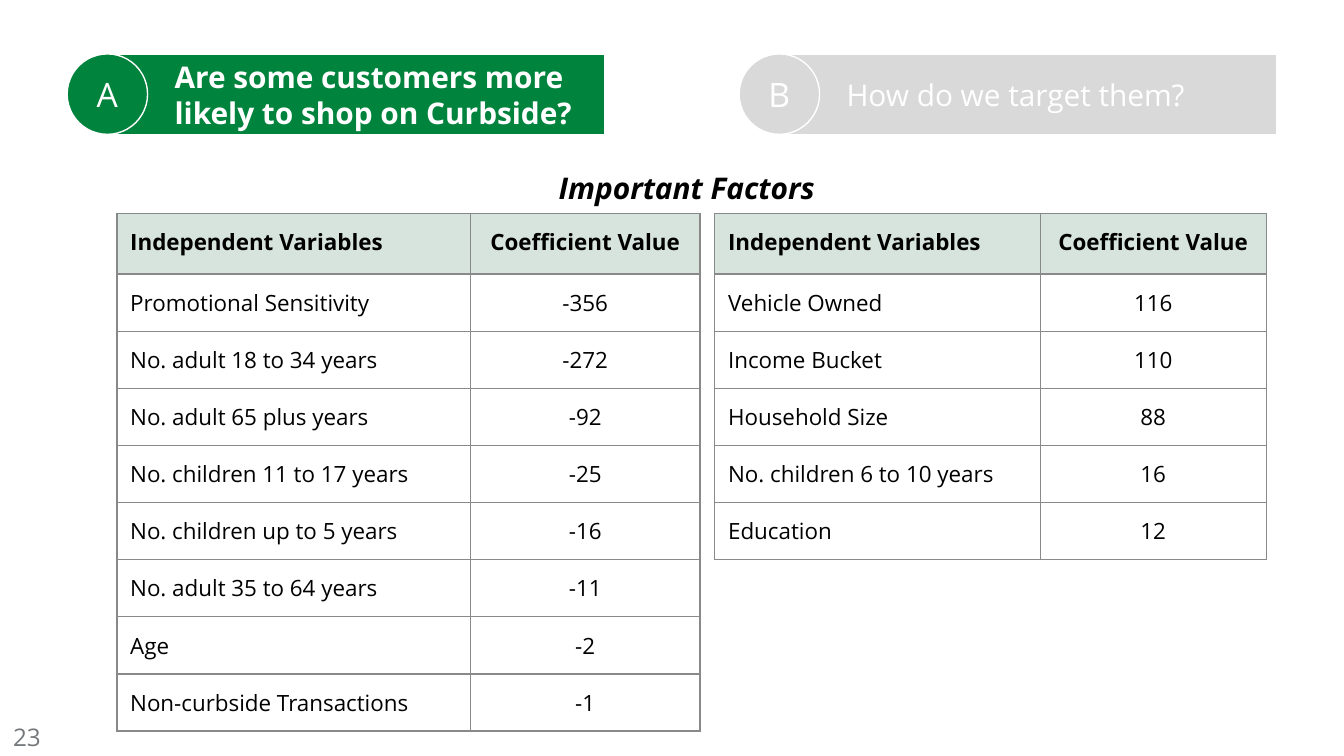
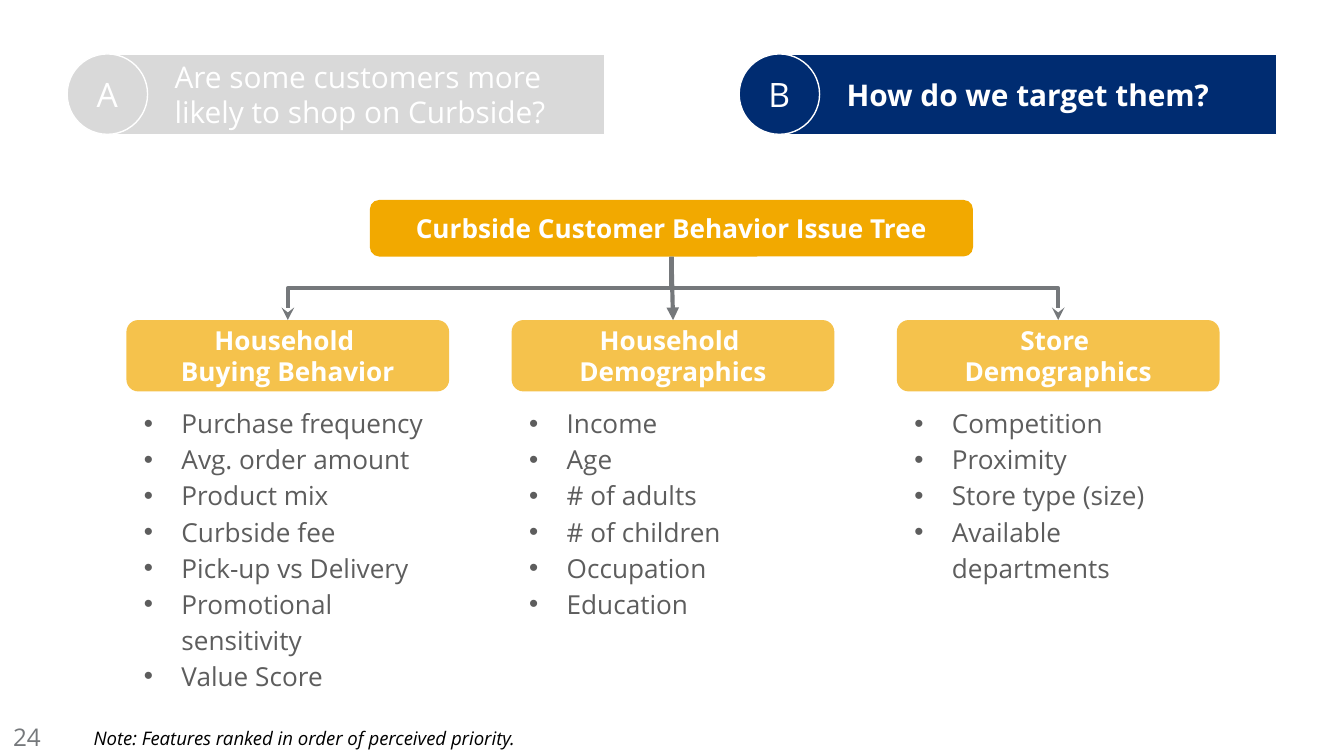
"""Build two slides on curbside customers: model coefficients and an issue tree."""
from dataclasses import dataclass

from lxml.etree import SubElement
from pptx import Presentation
from pptx.dml.color import RGBColor
from pptx.enum.shapes import MSO_CONNECTOR, MSO_SHAPE
from pptx.enum.text import MSO_ANCHOR, MSO_AUTO_SIZE, PP_ALIGN
from pptx.oxml.ns import qn
from pptx.util import Cm, Pt

FONT = "Open Sans"
WHITE, BLACK = "FFFFFF", "000000"
GREEN, NAVY, MUTED = "00833C", "002C71", "D9D9D9"
AMBER, SLATE, BODY_GRAY = "F2A900", "75787B", "5D5D5D"
HEADER_GREEN, GRID = "085631", "898989"
WIDE, NARROW = 0.25, 0.13
TAB_TOP, TAB_HEIGHT, TAB_PITCH = 1.02, 1.52, 12.7
CARD_LEFT, CARD_PITCH, CARD_WIDTH = 2.39, 7.28, 6.1
TITLE_ONLY, COMPARISON = 5, 4


@dataclass(frozen=True)
class Box:
    left: float
    top: float
    width: float
    height: float

    def lengths(self) -> tuple:
        return Cm(self.left), Cm(self.top), Cm(self.width), Cm(self.height)


@dataclass(frozen=True)
class TextStyle:
    size: float
    color: str
    bold: bool = False
    italic: bool = False
    align: PP_ALIGN = PP_ALIGN.LEFT
    anchor: MSO_ANCHOR = MSO_ANCHOR.TOP
    inset_x: float = WIDE
    inset_y: float = WIDE
    inset_left: float = WIDE


@dataclass(frozen=True)
class Tab:
    letter: str
    question: str
    color: str


@dataclass(frozen=True)
class FactorTable:
    left: float
    widths: tuple[float, float]
    factors: tuple[tuple[str, int], ...]


@dataclass(frozen=True)
class Branch:
    heading: str
    features: tuple[str, ...]


TABS = (
    Tab("A", "Are some customers more\vlikely to shop on Curbside?", GREEN),
    Tab("B", "How do we target them?", NAVY),
)

FACTOR_TABLES = (
    FactorTable(13.51, (6.15, 4.27), (
        ("Vehicle Owned", 116),
        ("Income Bucket", 110),
        ("Household Size", 88),
        ("No. children 6 to 10 years", 16),
        ("Education", 12),
    )),
    FactorTable(2.21, (6.68, 4.34), (
        ("Promotional Sensitivity", -356),
        ("No. adult 18 to 34 years", -272),
        ("No. adult 65 plus years", -92),
        ("No. children 11 to 17 years", -25),
        ("No. children up to 5 years", -16),
        ("No. adult 35 to 64 years", -11),
        ("Age", -2),
        ("Non-curbside Transactions", -1),
    )),
)

BRANCHES = (
    Branch("Household \vBuying Behavior", (
        "Purchase frequency", "Avg. order amount", "Product mix", "Curbside fee",
        "Pick-up vs Delivery", "Promotional sensitivity", "Value Score")),
    Branch("Household \vDemographics", (
        "Income", "Age", "# of adults", "# of children", "Occupation", "Education")),
    Branch("Store \vDemographics", (
        "Competition", "Proximity", "Store type (size)", "Available departments")),
)

NODE_TEXT = TextStyle(14, WHITE, bold=True, align=PP_ALIGN.CENTER,
                      anchor=MSO_ANCHOR.MIDDLE, inset_y=NARROW)
LIST_TEXT = TextStyle(14, BODY_GRAY, inset_y=NARROW)


def rgb(color: str) -> RGBColor:
    return RGBColor.from_string(color)


def paint(fill, owner, color: str, opacity: int = 100) -> None:
    """Fill an object with a solid colour at the given opacity in percent."""
    fill.solid()
    fill.fore_color.rgb = rgb(color)
    if opacity < 100:
        tint = owner.find(qn("a:solidFill")).find(qn("a:srgbClr"))
        SubElement(tint, qn("a:alpha"), val=str(opacity * 1000))


def format_text(frame, style: TextStyle) -> None:
    for paragraph in frame.paragraphs:
        paragraph.alignment = style.align
        paragraph.space_before = Pt(0)
        for run in paragraph.runs:
            run.font.name = FONT
            run.font.size = Pt(style.size)
            run.font.bold = style.bold
            run.font.italic = style.italic
            run.font.color.rgb = rgb(style.color)


def write(shape, text: str, style: TextStyle) -> None:
    """Put styled text into a shape or placeholder."""
    frame = shape.text_frame
    frame.text = text
    frame.word_wrap = True
    frame.auto_size = MSO_AUTO_SIZE.NONE
    frame.vertical_anchor = style.anchor
    frame.margin_left, frame.margin_right = Cm(style.inset_left), Cm(style.inset_x)
    frame.margin_top = frame.margin_bottom = Cm(style.inset_y)
    format_text(frame, style)


def place(placeholder, box: Box) -> None:
    placeholder.left, placeholder.top, placeholder.width, placeholder.height = box.lengths()


def add_label(slide, box: Box, text: str, style: TextStyle) -> None:
    write(slide.shapes.add_textbox(*box.lengths()), text, style)


def add_filled(slide, preset: MSO_SHAPE, box: Box, color: str, opacity: int = 100):
    shape = slide.shapes.add_shape(preset, *box.lengths())
    shape.shadow.inherit = False
    paint(shape.fill, shape.element.spPr, color, opacity)
    shape.line.fill.background()
    return shape


def outline_white(shape) -> None:
    shape.line.color.rgb = rgb(WHITE)
    shape.line.width = Pt(0.75)


def add_tabs(slide, active: Tab) -> None:
    """Draw both question tabs, with the active question as the slide title."""
    for index, tab in enumerate(TABS):
        is_active = tab == active
        color = tab.color if is_active else MUTED
        left = 1.27 + index * TAB_PITCH
        bar_box = Box(left + 0.76, TAB_TOP, 9.4, TAB_HEIGHT)
        if is_active:
            bar = slide.shapes.title
            place(bar, bar_box)
            paint(bar.fill, bar.element.spPr, color)
        else:
            bar = add_filled(slide, MSO_SHAPE.RECTANGLE, bar_box, color)
        outline_white(bar)
        write(bar, tab.question, TextStyle(16, WHITE, bold=is_active,
                                           anchor=MSO_ANCHOR.MIDDLE, inset_left=1.27))
        badge = add_filled(slide, MSO_SHAPE.OVAL,
                           Box(left, TAB_TOP, TAB_HEIGHT, TAB_HEIGHT), color)
        outline_white(badge)
        write(badge, tab.letter, TextStyle(18, WHITE, align=PP_ALIGN.CENTER,
                                           anchor=MSO_ANCHOR.MIDDLE))


def start_slide(deck, layout: int, active: Tab, number: int):
    slide = deck.slides.add_slide(deck.slide_layouts[layout])
    add_tabs(slide, active)
    add_label(slide, Box(0, 13.41, 1.52, 1.09), str(number), TextStyle(13, SLATE))
    return slide


def add_borders(cell) -> None:
    properties = cell._tc.get_or_add_tcPr()
    for side in ("lnL", "lnR", "lnT", "lnB"):
        border = SubElement(properties, qn(f"a:{side}"), w=str(Pt(0.75)))
        SubElement(SubElement(border, qn("a:solidFill")), qn("a:srgbClr"), val=GRID)


def add_factor_table(slide, spec_table: FactorTable) -> None:
    """Draw one table of variables and their coefficients."""
    rows = (("Independent Variables", "Coefficient Value"), *spec_table.factors)
    box = Box(spec_table.left, 4.04, sum(spec_table.widths), 1.14 + 1.08 * (len(rows) - 1))
    table = slide.shapes.add_table(len(rows), 2, *box.lengths()).table
    table.horz_banding = False
    for column, width in zip(table.columns, spec_table.widths):
        column.width = Cm(width)
    for row_index, values in enumerate(rows):
        is_header = row_index == 0
        table.rows[row_index].height = Cm(1.14 if is_header else 1.08)
        for column_index, value in enumerate(values):
            cell = table.cell(row_index, column_index)
            cell.text_frame.text = str(value)
            cell.margin_left = cell.margin_right = Cm(WIDE)
            cell.margin_top = cell.margin_bottom = Cm(WIDE)
            align = PP_ALIGN.CENTER if column_index else PP_ALIGN.LEFT
            format_text(cell.text_frame, TextStyle(12, BLACK, bold=is_header, align=align))
            add_borders(cell)
            if is_header:
                paint(cell.fill, cell._tc.tcPr, HEADER_GREEN, 16)
            else:
                cell.fill.background()


def add_feature_list(placeholder, box: Box, features: tuple[str, ...]) -> None:
    """Fill a body placeholder with a bulleted list."""
    place(placeholder, box)
    write(placeholder, "\n".join(features), LIST_TEXT)
    for paragraph in placeholder.text_frame.paragraphs:
        paragraph.line_spacing = 1.15
        properties = paragraph._p.get_or_add_pPr()
        properties.set("marL", str(Cm(0.79)))
        properties.set("indent", str(Cm(-0.71)))
        SubElement(SubElement(properties, qn("a:buClr")), qn("a:srgbClr"), val=BODY_GRAY)
        SubElement(properties, qn("a:buFont"), typeface="Arial")
        SubElement(properties, qn("a:buChar"), char="•")


def add_arrow(slide, root, card, kind: MSO_CONNECTOR, head: str) -> None:
    """Join the root's bottom to a card's top, turning elbows to leave downwards."""
    arrow = slide.shapes.add_connector(kind, 0, 0, 0, 0)
    arrow.begin_connect(root, 2)
    arrow.end_connect(card, 0)
    if kind == MSO_CONNECTOR.ELBOW:
        goes_right = arrow.end_x > arrow.begin_x
        across, down = arrow.width, arrow.height
        center_x, center_y = arrow.left + across // 2, arrow.top + down // 2
        arrow.left, arrow.top = center_x - down // 2, center_y - across // 2
        arrow.width, arrow.height = down, across
        frame = arrow.element.spPr.find(qn("a:xfrm"))
        frame.set("rot", str((270 if goes_right else 90) * 60000))
        frame.set("flipH", "1" if goes_right else "0")
    arrow.line.color.rgb = rgb(SLATE)
    arrow.line.width = Pt(2.25)
    SubElement(arrow.line._get_or_add_ln(), qn("a:tailEnd"), type=head)
    SubElement(arrow.element.spPr, qn("a:effectLst"))


def build_factors_slide(deck) -> None:
    slide = start_slide(deck, TITLE_ONLY, TABS[0], 23)
    add_label(slide, Box(1.83, 2.95, 22.3, 1.09), "Important Factors",
              TextStyle(16, BLACK, bold=True, italic=True, align=PP_ALIGN.CENTER))
    for factor_table in FACTOR_TABLES:
        add_factor_table(slide, factor_table)


def build_tree_slide(deck) -> None:
    slide = start_slide(deck, COMPARISON, TABS[1], 24)
    root = add_filled(slide, MSO_SHAPE.ROUNDED_RECTANGLE, Box(6.99, 3.78, 11.4, 1.07), AMBER)
    write(root, "Curbside Customer Behavior Issue Tree", NODE_TEXT)
    _, *bodies, spare = slide.placeholders
    spare.element.getparent().remove(spare.element)
    for index, (branch, body) in enumerate(zip(BRANCHES, bodies)):
        left = CARD_LEFT + index * CARD_PITCH
        card = add_filled(slide, MSO_SHAPE.ROUNDED_RECTANGLE,
                          Box(left, 6.05, CARD_WIDTH, 1.35), AMBER, 70)
        write(card, branch.heading, NODE_TEXT)
        add_feature_list(body, Box(left, 7.49, CARD_WIDTH, 5.66), branch.features)
        if index == 1:
            add_arrow(slide, root, card, MSO_CONNECTOR.STRAIGHT, "triangle")
        else:
            add_arrow(slide, root, card, MSO_CONNECTOR.ELBOW, "stealth")
    add_label(slide, Box(1.52, 13.59, 19.46, 0.71),
              "Note: Features ranked in order of perceived priority.",
              TextStyle(10, BLACK, italic=True, anchor=MSO_ANCHOR.MIDDLE))


def main() -> None:
    deck = Presentation()
    deck.slide_width, deck.slide_height = Cm(25.4), Cm(14.29)
    build_factors_slide(deck)
    build_tree_slide(deck)
    deck.save("out.pptx")


if __name__ == "__main__":
    main()
